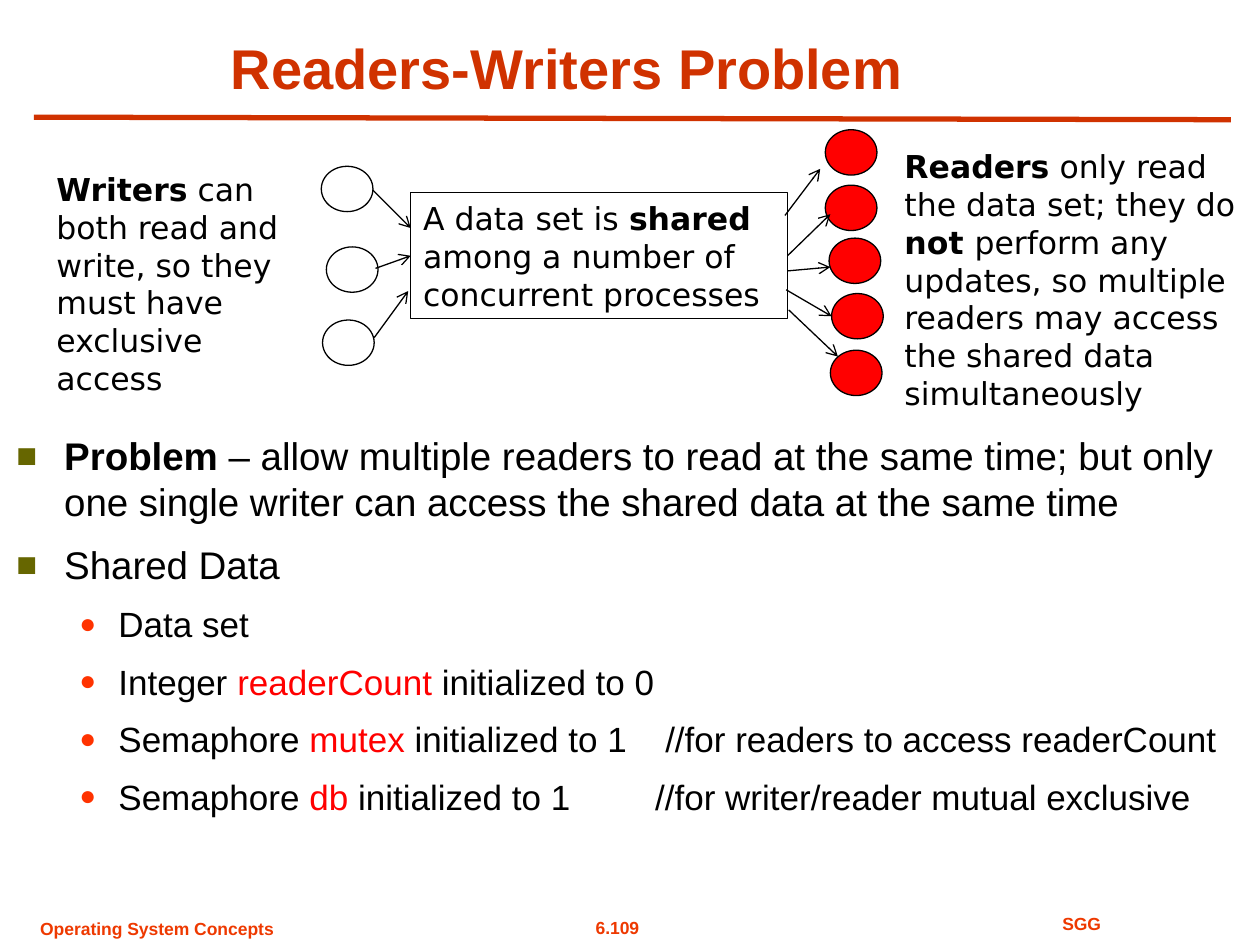
from dataclasses import dataclass

from lxml.etree import SubElement
from pptx import Presentation
from pptx.dml.color import RGBColor
from pptx.enum.shapes import MSO_CONNECTOR, MSO_SHAPE
from pptx.enum.text import MSO_ANCHOR, MSO_AUTO_SIZE, PP_ALIGN
from pptx.oxml.ns import qn
from pptx.util import Inches, Pt


@dataclass(frozen=True)
class Theme:
    title_color: RGBColor = RGBColor(0xD0, 0x32, 0x00)
    footer_color: RGBColor = RGBColor(0xEE, 0x39, 0x00)
    text_color: RGBColor = RGBColor(0, 0, 0)
    accent: RGBColor = RGBColor(0xFF, 0, 0)
    white: RGBColor = RGBColor(0xFF, 0xFF, 0xFF)
    body_font: str = "Arial"
    diagram_font: str = "DejaVu Sans"
    title_size: int = 32
    body_sizes: tuple = (22, 20)
    diagram_size: int = 18
    footer_size: int = 10


@dataclass(frozen=True)
class BulletStyle:
    character: str
    color: str
    percent: int
    margin: float
    hanging: float
    space_before: float


THEME = Theme()
BULLETS = (
    BulletStyle("■", "666600", 90, 0.38, 0.38, 9.6),
    BulletStyle("●", "FF3300", 80, 0.81, 0.31, 8.8),
)

# Each item: level, runs as (text, style), and an optional tab stop for the comment.
BODY_ITEMS = (
    (0, [("Problem", "bold"),
         (" – allow multiple readers to read at the same time; but only one single "
          "writer can access the shared data at the same time", "")], None),
    (0, [("Shared Data", "")], None),
    (1, [("Data set", "")], None),
    (1, [("Integer ", ""), ("readerCount", "accent"), (" initialized to 0", "")], None),
    (1, [("Semaphore ", ""), ("mutex", "accent"),
         (" initialized to 1\t//for readers to access readerCount", "")], 5.15),
    (1, [("Semaphore ", ""), ("db", "accent"),
         (" initialized to 1\t//for writer/reader mutual exclusive", "")], 5.07),
)

WRITER_POSITIONS = ((2.55, 1.32), (2.59, 1.96), (2.56, 2.54))
READER_POSITIONS = ((6.55, 1.03), (6.55, 1.47), (6.58, 1.89), (6.6, 2.33), (6.59, 2.78))
WRITER_ARROWS = (
    ((2.96, 1.51), (3.26, 1.81)),
    ((2.98, 2.13), (3.26, 2.03)),
    ((2.97, 2.68), (3.24, 2.31)),
)
READER_ARROWS = (
    ((6.23, 1.71), (6.51, 1.34)),
    ((6.25, 2.03), (6.59, 1.7)),
    ((6.25, 2.15), (6.59, 2.12)),
    ((6.24, 2.3), (6.6, 2.51)),
    ((6.26, 2.46), (6.65, 2.83)),
)


def place(shape, left, top, width, height):
    shape.left, shape.top = Inches(left), Inches(top)
    shape.width, shape.height = Inches(width), Inches(height)


def set_font(font, name, size, color, bold=None):
    font.name, font.size, font.bold = name, Pt(size), bold
    font.color.rgb = color


def add_runs(paragraph, runs):
    for text, style in runs:
        run = paragraph.add_run()
        run.text = text
        if style == "bold":
            run.font.bold = True
        elif style == "accent":
            run.font.color.rgb = THEME.accent


def format_bullet(paragraph, style, tab_stop):
    properties = paragraph._p.get_or_add_pPr()
    properties.set("marL", str(Inches(style.margin)))
    properties.set("indent", str(-Inches(style.hanging)))
    color = SubElement(properties, qn("a:buClr"))
    SubElement(color, qn("a:srgbClr"), val=style.color)
    SubElement(properties, qn("a:buSzPct"), val=str(style.percent * 1000))
    SubElement(properties, qn("a:buFont"), typeface=THEME.body_font)
    SubElement(properties, qn("a:buChar"), char=style.character)
    if tab_stop:
        tabs = SubElement(properties, qn("a:tabLst"))
        SubElement(tabs, qn("a:tab"), pos=str(Inches(tab_stop)), algn="l")


def fill_title(title):
    place(title, 0, 0.22, 9, 0.63)
    frame = title.text_frame
    frame.auto_size = MSO_AUTO_SIZE.NONE
    frame.vertical_anchor = MSO_ANCHOR.BOTTOM
    frame.text = "Readers-Writers Problem"
    paragraph = frame.paragraphs[0]
    paragraph.alignment = PP_ALIGN.CENTER
    set_font(paragraph.font, THEME.body_font, THEME.title_size, THEME.title_color, True)


def fill_body(body):
    place(body, 0.03, 3.38, 10, 3.67)
    frame = body.text_frame
    frame.auto_size = MSO_AUTO_SIZE.NONE
    for index, (level, runs, tab_stop) in enumerate(BODY_ITEMS):
        paragraph = frame.add_paragraph() if index else frame.paragraphs[0]
        paragraph.level = level
        format_bullet(paragraph, BULLETS[level], tab_stop)
        paragraph.space_before = Pt(BULLETS[level].space_before if index else 0)
        set_font(paragraph.font, THEME.body_font, THEME.body_sizes[level], THEME.text_color)
        add_runs(paragraph, runs)


def add_footer(slide, text, bounds, alignment):
    box = slide.shapes.add_textbox(*map(Inches, bounds))
    box.text_frame.word_wrap = True
    paragraph = box.text_frame.paragraphs[0]
    paragraph.text = text
    paragraph.alignment = alignment
    set_font(paragraph.font, THEME.body_font, THEME.footer_size, THEME.footer_color, True)


def write_diagram_text(shape, runs):
    frame = shape.text_frame
    frame.word_wrap = True
    frame.vertical_anchor = MSO_ANCHOR.TOP
    paragraph = frame.paragraphs[0]
    paragraph.alignment = PP_ALIGN.LEFT
    set_font(paragraph.font, THEME.diagram_font, THEME.diagram_size, THEME.text_color)
    add_runs(paragraph, runs)


def add_note(slide, bounds, runs):
    write_diagram_text(slide.shapes.add_textbox(*map(Inches, bounds)), runs)


def add_outlined_shape(slide, preset, bounds, fill=None):
    shape = slide.shapes.add_shape(preset, *map(Inches, bounds))
    shape.shadow.inherit = False
    if fill is None:
        shape.fill.background()
    else:
        shape.fill.solid()
        shape.fill.fore_color.rgb = fill
    shape.line.color.rgb = THEME.text_color
    shape.line.width = Pt(0.75)
    return shape


def add_line(slide, start, end, color, width, arrow=False):
    line = slide.shapes.add_connector(MSO_CONNECTOR.STRAIGHT, *map(Inches, start + end))
    line.line.color.rgb = color
    line.line.width = Pt(width)
    if arrow:
        SubElement(line.line._get_or_add_ln(), qn("a:tailEnd"), type="arrow")
    SubElement(line._element.spPr, qn("a:effectLst"))
    return line


def add_diagram(slide):
    data_set = add_outlined_shape(slide, MSO_SHAPE.RECTANGLE, (3.26, 1.53, 2.99, 1))
    write_diagram_text(data_set, [("A data set is ", ""), ("shared", "bold"),
                                  (" among a number of concurrent processes", "")])
    add_note(slide, (7.08, 1.12, 2.88, 1.9), [
        ("Readers", "bold"), (" only read the data set; they do ", ""), ("not ", "bold"),
        ("perform any updates, so multiple readers may access the shared data "
         "simultaneously", "")])
    add_note(slide, (0.35, 1.3, 2.27, 1.6), [
        ("Writers", "bold"),
        (" can both read and write, so they must have exclusive access", "")])
    for positions, fill in ((WRITER_POSITIONS, THEME.white), (READER_POSITIONS, THEME.accent)):
        for position in positions:
            add_outlined_shape(slide, MSO_SHAPE.OVAL, position + (0.41, 0.36), fill)
    arrows = [add_line(slide, start, end, THEME.text_color, 0.75, arrow=True)
              for start, end in WRITER_ARROWS + READER_ARROWS]
    arrows[1].end_connect(data_set, 1)
    arrows[len(WRITER_ARROWS) + 1].begin_connect(data_set, 3)


def main():
    presentation = Presentation()
    presentation.slide_width, presentation.slide_height = Inches(10), Inches(7.5)
    slide = presentation.slides.add_slide(presentation.slide_layouts[1])
    add_footer(slide, "6.109", (4.41, 7.23, 0.98, 0.27), PP_ALIGN.CENTER)
    add_footer(slide, "SGG", (7.1, 7.2, 2.97, 0.27), PP_ALIGN.CENTER)
    add_footer(slide, "Operating System Concepts", (0.22, 7.24, 2.05, 0.27), PP_ALIGN.LEFT)
    add_line(slide, (0.27, 0.93), (9.77, 0.95), THEME.title_color, 3)
    fill_title(slide.shapes.title)
    fill_body(slide.placeholders[1])
    add_diagram(slide)
    presentation.save("out.pptx")


if __name__ == "__main__":
    main()
